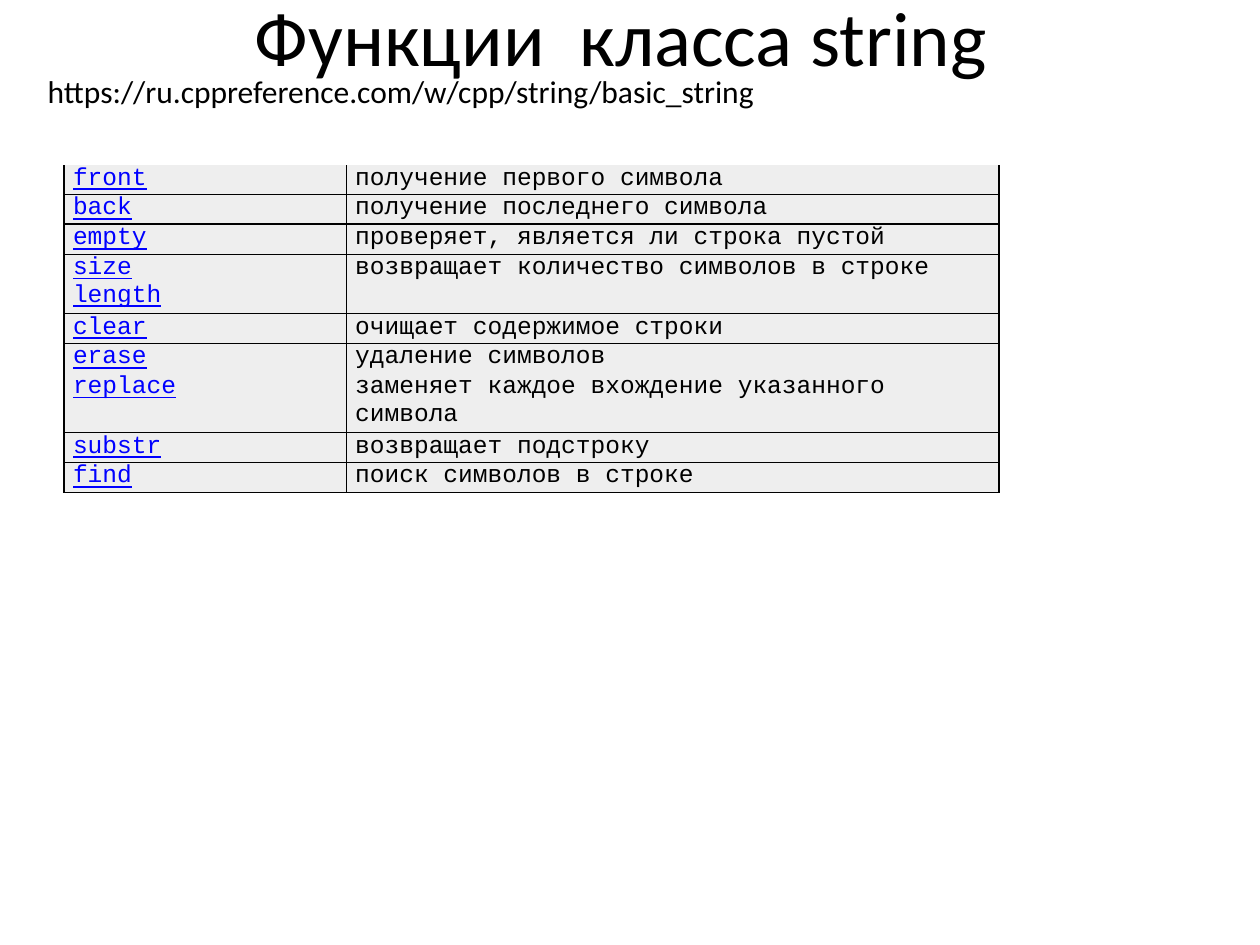
"""Slide listing member functions of the string class."""
from lxml import etree
from pptx import Presentation
from pptx import util as u
from pptx.dml.color import RGBColor
from pptx.enum import text
from pptx.oxml import ns

BLACK = RGBColor(0x00, 0x00, 0x00)
BLUE = RGBColor(0x00, 0x00, 0xFF)
GREY = RGBColor(0xEE, 0xEE, 0xEE)
NO_STYLE = "{2D5ABB26-0587-4C30-8999-92F81FD0307C}"
LINE = u.Pt(17)
TIGHT = u.Pt(16)
COLS = u.Inches(2.24), u.Inches(5.18)

prs = Presentation()
prs.slide_width, prs.slide_height = u.Inches(10), u.Inches(7.5)
s = prs.slides.add_slide(prs.slide_layouts[6])


def add_run(p, words, size, font, color, underline=None):
    r = p.add_run()
    r.text = words
    r.font.size, r.font.name = u.Pt(size), font
    r.font.color.rgb = color
    r.font.underline = underline


def add_borders(cell, sides):
    tc_pr = cell._tc.get_or_add_tcPr()
    for i, side in enumerate(sides):
        ln = etree.Element(ns.qn(f"a:ln{side}"), w=str(u.Pt(1)))
        fill = etree.SubElement(ln, ns.qn("a:solidFill"))
        etree.SubElement(fill, ns.qn("a:srgbClr"), val=str(BLACK))
        tc_pr.insert(i, ln)


headings = [
    ((0.43, -0.34, 9, 1.25), "Функции  класса\u00a0string", 44,
     text.PP_ALIGN.CENTER, text.MSO_ANCHOR.MIDDLE),
    ((0.28, 0.52, 8.82, 0.4), "https://ru.cppreference.com/w/cpp/string/basic_string", 18,
     text.PP_ALIGN.LEFT, text.MSO_ANCHOR.TOP),
]
for box, words, size, align, anchor in headings:
    tf = s.shapes.add_textbox(*map(u.Inches, box)).text_frame
    tf.word_wrap, tf.vertical_anchor = True, anchor
    p = tf.paragraphs[0]
    p.alignment = align
    add_run(p, words, size, "Calibri", BLACK)

tables = [
    (TIGHT, [("front", "получение первого символа", 1),
             ("back", "получение последнего символа", 1)]),
    (LINE, [("empty", "проверяет, является ли строка пустой", 1),
            ("size\nlength", "возвращает количество символов в строке", 2)]),
    (LINE, [("clear", "очищает содержимое строки", 1)]),
    (LINE, [("erase", "удаление символов", 1)]),
    (LINE, [("replace", "заменяет каждое вхождение указанного символа", 2)]),
    (LINE, [("substr", "возвращает подстроку", 1)]),
    (LINE, [("find", "поиск символов в строке", 1)]),
]
top = u.Inches(1.31)
for pitch, rows in tables:
    lines = sum(row[2] for row in rows)
    tbl = s.shapes.add_table(len(rows), 2, u.Inches(0.51), top, sum(COLS), pitch * lines).table
    tbl.first_row = tbl.horz_banding = False
    tbl._tbl.tblPr.find(ns.qn("a:tableStyleId")).text = NO_STYLE
    for col, width in zip(tbl.columns, COLS):
        col.width = width
    for i, (name, meaning, count) in enumerate(rows):
        tbl.rows[i].height = pitch * count
        for j, (words, color) in enumerate([(name, BLUE), (meaning, BLACK)]):
            cell = tbl.cell(i, j)
            cell.margin_left = cell.margin_right = u.Inches(0.07)
            cell.margin_top = cell.margin_bottom = 0
            cell.fill.solid()
            cell.fill.fore_color.rgb = GREY
            add_borders(cell, "LRTB" if i else "LRB")
            p = cell.text_frame.paragraphs[0]
            for k, part in enumerate(words.split("\n")):
                if k:
                    p.add_line_break()
                add_run(p, part, 14, "Courier New", color, j == 0)
    top += LINE * lines

prs.save("out.pptx")
